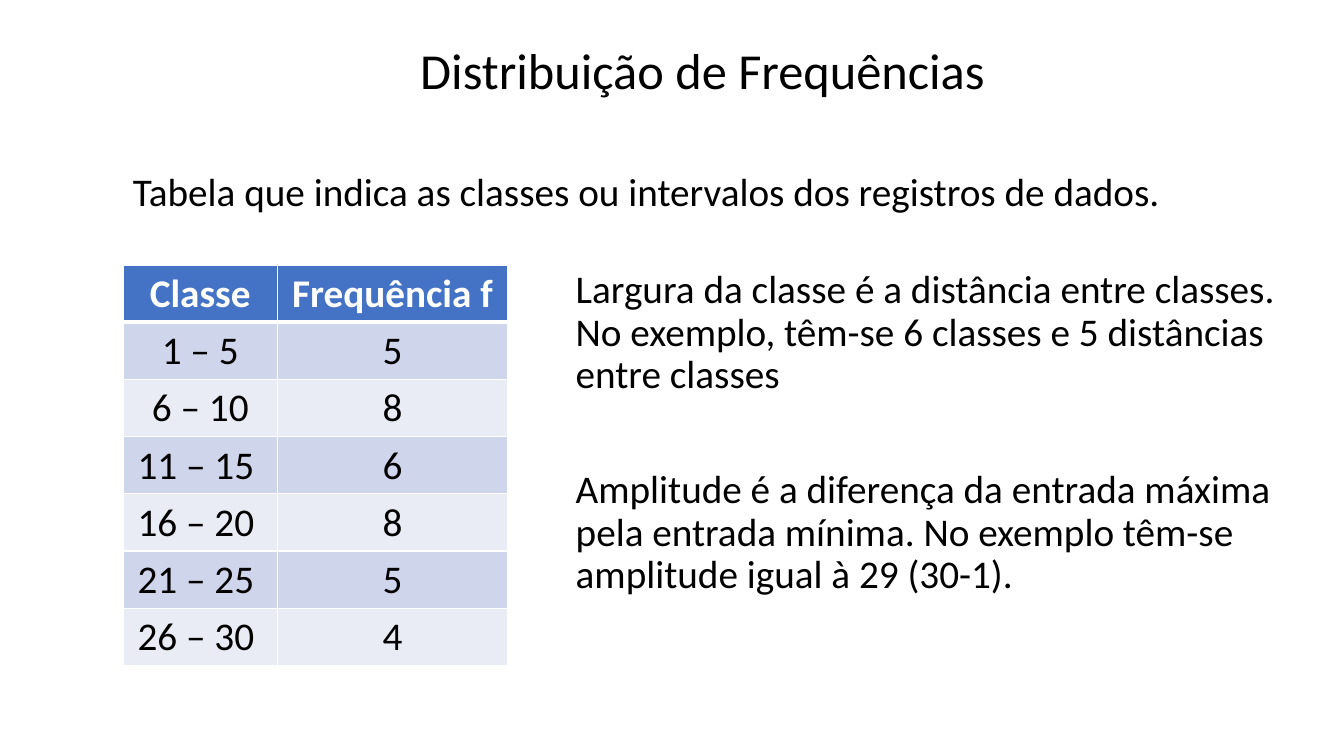
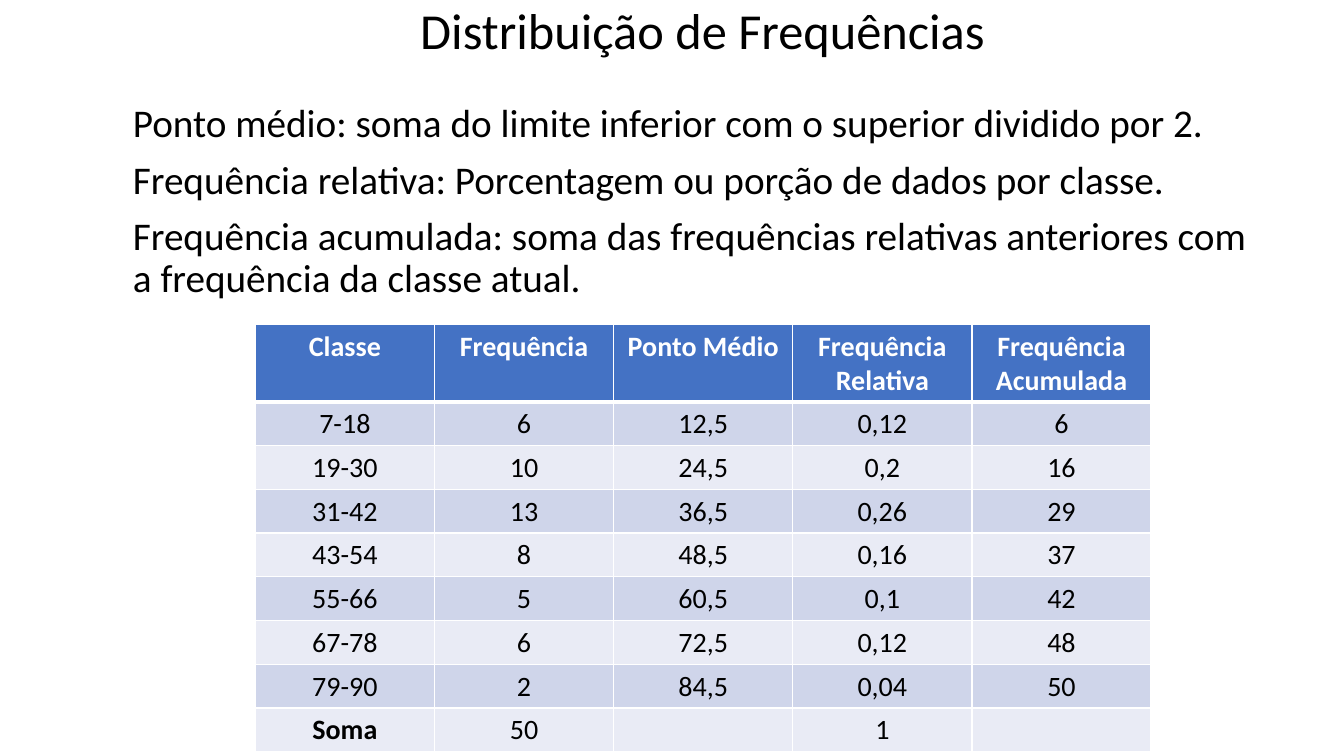
"""Builds two slides on frequency distributions, each with notes and a table."""
import pptx
import pptx.util
import pptx.dml.color
import pptx.enum.text
import pptx.oxml


class Theme:
    font = "Calibri"
    ink, white, head = "000000", "FFFFFF", "4472C4"
    bands = ("CFD5EA", "E9EBF5")
    title, body, small = 36, 28, 20
    gap, lead = 10, 0.9
    thin, thick = 1, 3


Pt = pptx.util.Pt
RGB = pptx.dml.color.RGBColor.from_string
MID = pptx.enum.text.PP_ALIGN.CENTER
NS = "http://schemas.openxmlformats.org/drawingml/2006/main"

deck = pptx.Presentation()
deck.slide_width = pptx.util.Inches(13.33)
deck.slide_height = pptx.util.Inches(7.5)
col, row = deck.slide_width / 100, deck.slide_height / 100
left, mid, top = 9.15, 42.1, 35.07


def write(para, text, size, color=Theme.ink, bold=False):
    run = para.add_run()
    run.text = text
    run.font.name = Theme.font
    run.font.size = Pt(size)
    run.font.bold = bold
    run.font.color.rgb = RGB(color)


def place(x, y, wide, high):
    return int(x * col), int(y * row), int(wide * col), int(high * row)


title = ("Distribuição de Frequências", Theme.title, Theme.gap, MID)
pages = [
    {
        "boxes": [
            ((left, 5.47, 86.25, 24.5), [
                title,
                ("Tabela que indica as classes ou intervalos dos registros de dados.",
                 Theme.body, 51, None),
            ]),
            ((mid, top, 54.6, 24.5), [
                ("Largura da classe é a distância entre classes. No exemplo, "
                 "têm-se 6 classes e 5 distâncias entre classes",
                 Theme.body, Theme.gap, None),
            ]),
            ((mid, 61.5, 53.35, 19.5), [
                ("Amplitude é a diferença da entrada máxima pela entrada mínima. "
                 "No exemplo têm-se amplitude igual à 29 (30-1).",
                 Theme.body, Theme.gap, None),
            ]),
        ],
        "spot": (left, top),
        "wides": [11.5, 17.1],
        "size": Theme.body,
        "cells": [
            ["Classe", "Frequência f"],
            ["1 – 5", "5"],
            ["6 – 10", "8"],
            ["11 – 15 ", "6"],
            ["16 – 20 ", "8"],
            ["21 – 25 ", "5"],
            ["26 – 30 ", "4"],
        ],
    },
    {
        "boxes": [
            ((left, 0.13, 86.25, 42.8), [
                title,
                ("Ponto médio: soma do limite inferior com o superior dividido por 2.",
                 Theme.body, 31, None),
                ("Frequência relativa: Porcentagem ou porção de dados por classe.",
                 Theme.body, Theme.gap, None),
                ("Frequência acumulada: soma das frequências relativas anteriores "
                 "com a frequência da classe atual.",
                 Theme.body, Theme.gap, None),
            ]),
        ],
        "spot": (19, 42.93),
        "wides": [13.33] * 5,
        "size": Theme.small,
        "cells": [
            ["Classe", "Frequência", "Ponto Médio", "Frequência Relativa",
             "Frequência Acumulada"],
            ["7-18", "6", "12,5", "0,12", "6"],
            ["19-30", "10", "24,5", "0,2", "16"],
            ["31-42", "13", "36,5", "0,26", "29"],
            ["43-54", "8", "48,5", "0,16", "37"],
            ["55-66", "5", "60,5", "0,1", "42"],
            ["67-78", "6", "72,5", "0,12", "48"],
            ["79-90", "2", "84,5", "0,04", "50"],
            ["Soma", "50", "", "1", ""],
        ],
    },
]

for page in pages:
    slide = deck.slides.add_slide(deck.slide_layouts[6])
    for area, lines in page["boxes"]:
        frame = slide.shapes.add_textbox(*place(*area)).text_frame
        frame.word_wrap = True
        for n, (text, size, space, align) in enumerate(lines):
            para = frame.add_paragraph() if n else frame.paragraphs[0]
            para.alignment = align
            para.line_spacing = Theme.lead
            para.space_before = Pt(space)
            write(para, text, size)

    cells, wides = page["cells"], page["wides"]
    high = 5.47
    area = place(*page["spot"], sum(wides), high * len(cells))
    table = slide.shapes.add_table(len(cells), len(wides), *area).table
    table.horz_banding = False
    for n, wide in enumerate(wides):
        table.columns[n].width = int(wide * col)
    for r, texts in enumerate(cells):
        table.rows[r].height = int(high * row)
        fill = Theme.bands[(r - 1) % 2] if r else Theme.head
        for c, text in enumerate(texts):
            cell = table.cell(r, c)
            props = cell._tc.get_or_add_tcPr()
            for side in "LRTB":
                heavy = (r, side) in ((0, "B"), (1, "T"))
                line = Pt(Theme.thick if heavy else Theme.thin)
                props.append(pptx.oxml.parse_xml(
                    f'<a:ln{side} xmlns:a="{NS}" w="{line}"><a:solidFill>'
                    f'<a:srgbClr val="{Theme.white}"/></a:solidFill></a:ln{side}>'))
            cell.fill.solid()
            cell.fill.fore_color.rgb = RGB(fill)
            para = cell.text_frame.paragraphs[0]
            para.alignment = MID
            if text:
                write(para, text, page["size"], Theme.ink if r else Theme.white,
                      r == 0 or text == "Soma")

deck.save("out.pptx")
